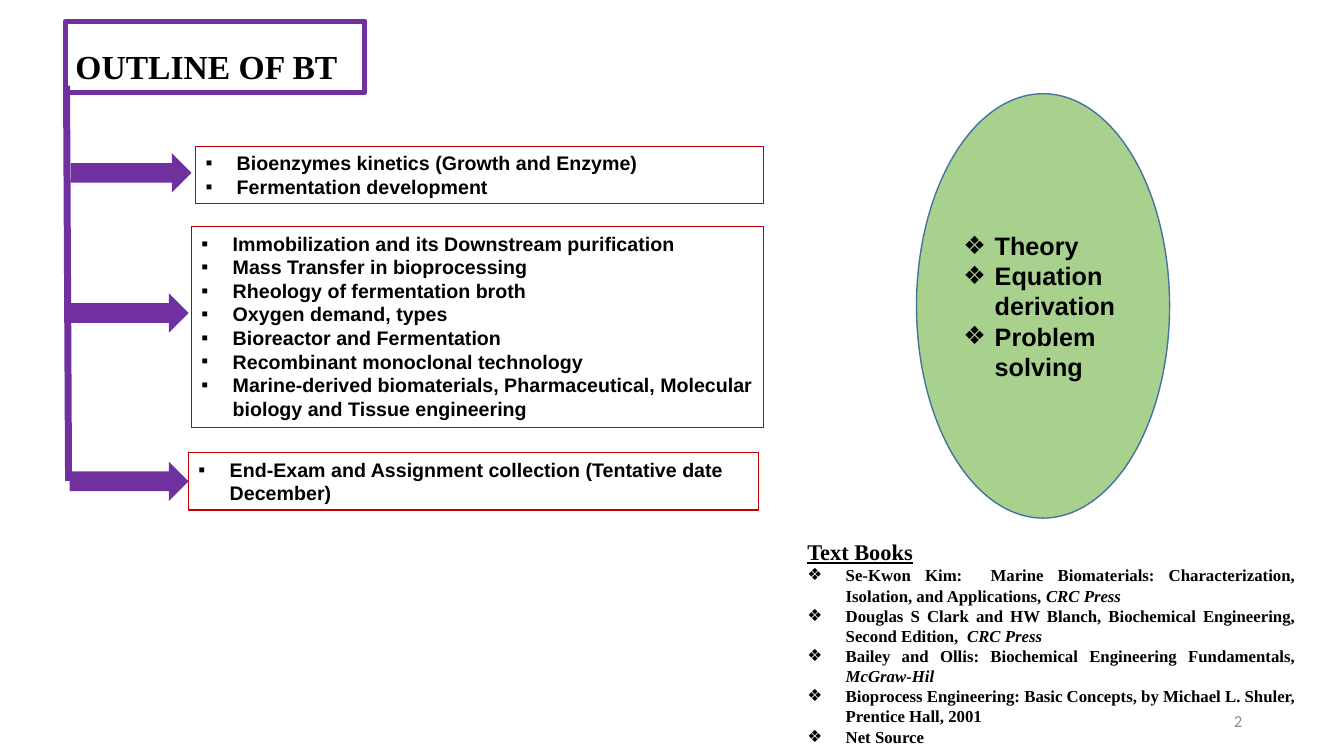
import pptx
import pptx.util
from lxml import etree
from pptx.dml.color import RGBColor
from pptx.enum.shapes import MSO_CONNECTOR, MSO_SHAPE
from pptx.enum.text import MSO_ANCHOR, MSO_AUTO_SIZE, PP_ALIGN
from pptx.oxml.ns import qn
from pptx.util import Inches, Pt

PURPLE = RGBColor(0x70, 0x30, 0xA0)
RED = RGBColor(0xC0, 0x00, 0x00)
GREEN = RGBColor(0xA9, 0xD1, 0x8E)
BLUE = RGBColor(0x43, 0x73, 0x9E)
GRAY = RGBColor(0x8C, 0x8C, 0x8C)
BLACK = RGBColor(0, 0, 0)
SERIF = "Times New Roman"

TITLE = "OUTLINE OF BT"
# Each topic: box place, arrow place, bullet lines
TOPICS = [
    ((1.94, 1.45, 5.63, 0.57), (0.7, 1.52, 1.2, 0.39), [
        "Bioenzymes kinetics (Growth and Enzyme)",
        "Fermentation development",
    ]),
    ((1.9, 2.25, 5.67, 1.99), (0.69, 2.91, 1.18, 0.39), [
        "Immobilization and its Downstream purification",
        "Mass Transfer in bioprocessing",
        "Rheology of fermentation broth",
        "Oxygen demand, types",
        "Bioreactor and Fermentation",
        "Recombinant monoclonal technology",
        "Marine-derived biomaterials, Pharmaceutical, Molecular "
        "biology and Tissue engineering",
    ]),
    ((1.87, 4.49, 5.65, 0.57), (0.69, 4.58, 1.18, 0.39), [
        "End-Exam and Assignment collection (Tentative date December)",
    ]),
]
SKILLS = ["Theory", "Equation derivation", "Problem solving"]
# Each book: plain part, italic part
BOOKS = [
    ("Se-Kwon Kim:  Marine Biomaterials: Characterization, Isolation, "
     "and Applications, ", "CRC Press"),
    ("Douglas S Clark and HW Blanch, Biochemical Engineering, "
     "Second Edition,  ", "CRC Press"),
    ("Bailey and Ollis: Biochemical Engineering Fundamentals, ",
     "McGraw-Hil"),
    ("Bioprocess Engineering: Basic Concepts, by Michael L. Shuler, "
     "Prentice Hall, 2001", ""),
    ("Net Source", ""),
]


def place(at):
    return [Inches(n) for n in at]


def add_text(frame, lines, size=14, face="Arial", color=BLACK, bold=True,
             under=False, align=PP_ALIGN.LEFT, bullet="", indent=0.31,
             space=None):
    """Add one paragraph per line; a line is text or (plain, italic)."""
    for line in lines:
        para = frame.paragraphs[0]
        if para.runs:
            para = frame.add_paragraph()
        para.alignment = align
        if space:
            para.line_spacing = space
        if bullet:
            props = para._p.get_or_add_pPr()
            props.set("marL", str(Inches(indent)))
            props.set("indent", str(-Inches(indent)))
            etree.SubElement(props, qn("a:buFont")).set("typeface", "Arial")
            etree.SubElement(props, qn("a:buChar")).set("char", bullet)
        parts = (line, "") if isinstance(line, str) else line
        for part, slant in zip(parts, (False, True)):
            if part:
                run = para.add_run()
                run.text = part
                font = run.font
                font.size, font.name = Pt(size), face
                font.bold, font.italic, font.underline = bold, slant, under
                font.color.rgb = color


def set_frame(shape, anchor=MSO_ANCHOR.TOP, grow=True):
    frame = shape.text_frame
    frame.word_wrap = True
    frame.vertical_anchor = anchor
    if grow:
        frame.auto_size = MSO_AUTO_SIZE.SHAPE_TO_FIT_TEXT
    return frame


def add_form(kind, at, fill=None, line=None, width=1):
    form = slide.shapes.add_shape(kind, *place(at))
    form.shadow.inherit = False
    if fill is None:
        form.fill.background()
    else:
        form.fill.solid()
        form.fill.fore_color.rgb = fill
    if line is None:
        form.line.fill.background()
    else:
        form.line.color.rgb = line
        form.line.width = Pt(width)
    return form


deck = pptx.Presentation()
deck.slide_width, deck.slide_height = Inches(13.33), Inches(7.5)
slide = deck.slides.add_slide(deck.slide_layouts[6])

title = add_form(MSO_SHAPE.RECTANGLE, (0.65, 0.21, 2.97, 0.71),
                 line=PURPLE, width=3.5)
add_text(set_frame(title), [TITLE], size=24, face=SERIF,
         align=PP_ALIGN.JUSTIFY, space=1.5)

spine = slide.shapes.add_connector(MSO_CONNECTOR.STRAIGHT,
                                   *place((0.66, 0.85, 0.68, 4.77)))
spine.line.color.rgb = PURPLE
spine.line.width = Pt(5)
etree.SubElement(spine._element.spPr, qn("a:effectLst"))

for spot, arrow, lines in TOPICS:
    add_form(MSO_SHAPE.RIGHT_ARROW, arrow, fill=PURPLE)
    box = add_form(MSO_SHAPE.RECTANGLE, spot, line=RED, width=0.75)
    add_text(set_frame(box), lines, bullet="▪")

oval = add_form(MSO_SHAPE.OVAL, (9.09, 0.93, 2.51, 4.21),
                fill=GREEN, line=BLUE)
add_text(set_frame(oval, MSO_ANCHOR.MIDDLE, grow=False), SKILLS, size=18,
         align=PP_ALIGN.JUSTIFY, bullet="❖")

number = slide.shapes.add_textbox(*place((9.42, 6.95, 3, 0.4)))
add_text(set_frame(number, MSO_ANCHOR.MIDDLE, grow=False), ["2"], size=12,
         face="Calibri", color=GRAY, bold=False, align=PP_ALIGN.RIGHT)

books = set_frame(slide.shapes.add_textbox(*place((7.91, 5.29, 5.04, 2.19))))
add_text(books, ["Text Books"], size=16, face=SERIF, under=True,
         align=PP_ALIGN.JUSTIFY)
add_text(books, BOOKS, size=12, face=SERIF, align=PP_ALIGN.JUSTIFY,
         bullet="❖", indent=0.38)

deck.save("out.pptx")
